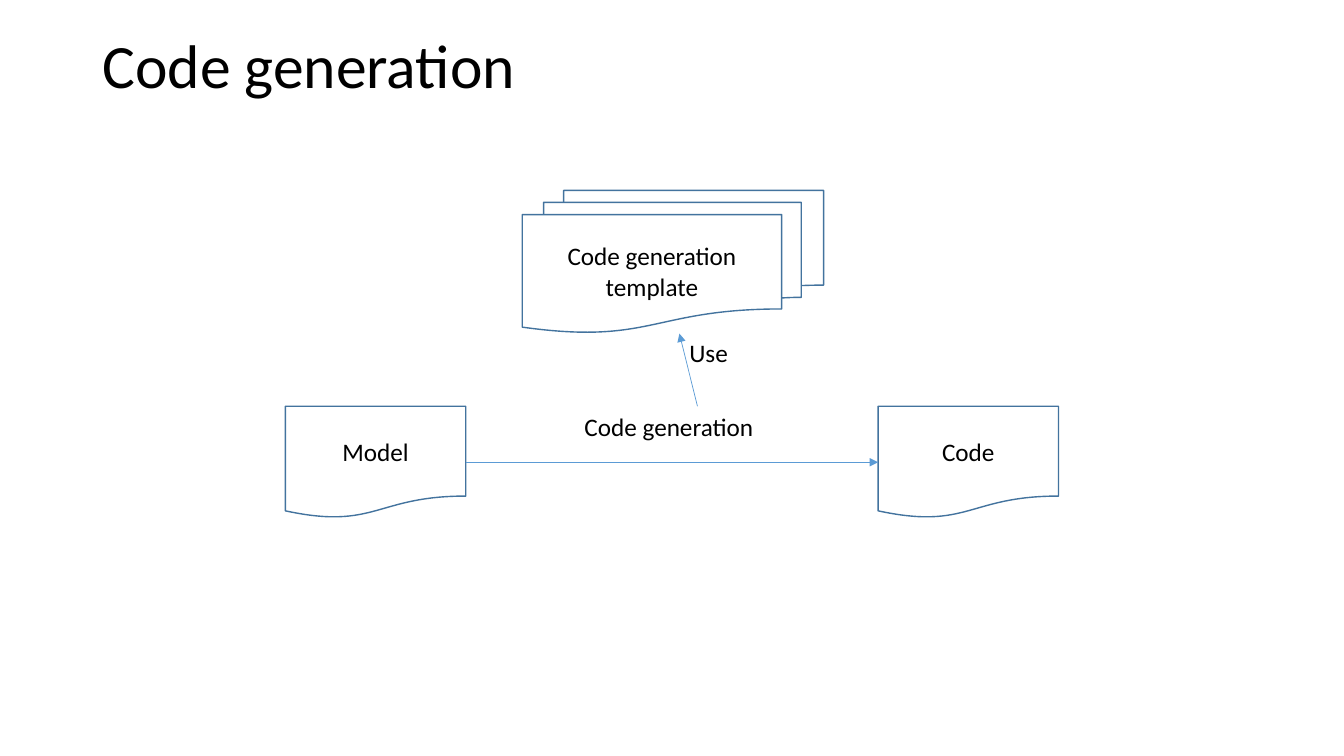
from lxml.etree import SubElement
from pptx import Presentation
from pptx.dml.color import RGBColor
from pptx.enum.shapes import MSO_CONNECTOR, MSO_SHAPE
from pptx.enum.text import MSO_ANCHOR, MSO_AUTO_SIZE, PP_ALIGN
from pptx.oxml.ns import qn
from pptx.util import Pt

COLORS = {"text": "000000", "outline": "43739E", "arrow": "5B9BD5"}
FONT = "Calibri"

TITLE = "Code generation"
TITLE_BOX = (66, 11.5, 828, 75)
ROW_TOP, DOC_WIDTH, DOC_HEIGHT = 290.2, 128.9, 80
DOCUMENTS = {  # text: (preset, left, top, width, height)
    "Model": (MSO_SHAPE.FLOWCHART_DOCUMENT, 203.8, ROW_TOP, DOC_WIDTH, DOC_HEIGHT),
    "Code": (MSO_SHAPE.FLOWCHART_DOCUMENT, 627.2, ROW_TOP, DOC_WIDTH, DOC_HEIGHT),
    "Code generation template": (MSO_SHAPE.FLOWCHART_MULTIDOCUMENT, 373, 136, 215.3, 101.5),
}
LABELS = {  # text: (left, top, width, height)
    "Code generation": (410.4, ROW_TOP, 176.4, 48.2),
    "Use": (485.3, 237.6, 54.7, 48.2),
}
USE_ARROW = (498.2, ROW_TOP, 485.3, 238.3)


def points(numbers):
    return [Pt(number) for number in numbers]


def color(name):
    return RGBColor.from_string(COLORS[name])


def write(frame, text, size, align):
    paragraph = frame.paragraphs[0]
    paragraph.alignment = align
    run = paragraph.add_run()
    run.text = text
    run.font.name = FONT
    run.font.size = Pt(size)
    run.font.color.rgb = color("text")
    return paragraph


def add_document(slide, text, preset, *box):
    document = slide.shapes.add_shape(preset, *points(box))
    document.shadow.inherit = False
    document.fill.background()
    document.line.color.rgb = color("outline")
    document.line.width = Pt(1)
    document.text_frame.word_wrap = True
    document.text_frame.vertical_anchor = MSO_ANCHOR.MIDDLE
    write(document.text_frame, text, 18, PP_ALIGN.CENTER)
    return document


def add_label(slide, text, box):
    frame = slide.shapes.add_textbox(*points(box)).text_frame
    frame.word_wrap = False
    frame.auto_size = MSO_AUTO_SIZE.SHAPE_TO_FIT_TEXT
    write(frame, text, 18, PP_ALIGN.LEFT)


def add_arrow(slide, ends):
    arrow = slide.shapes.add_connector(MSO_CONNECTOR.STRAIGHT, *points(ends))
    arrow.line.color.rgb = color("arrow")
    arrow.line.width = Pt(0.5)
    SubElement(arrow.line._get_or_add_ln(), qn("a:tailEnd"), type="triangle")
    SubElement(arrow._element.spPr, qn("a:effectLst"))
    return arrow


def main():
    deck = Presentation()
    deck.slide_width, deck.slide_height = Pt(960), Pt(540)
    slide = deck.slides.add_slide(deck.slide_layouts[5])

    title = slide.shapes.title
    title.left, title.top, title.width, title.height = points(TITLE_BOX)
    title.text_frame.vertical_anchor = MSO_ANCHOR.MIDDLE
    write(title.text_frame, TITLE, 44, PP_ALIGN.LEFT).line_spacing = 0.9

    documents = {text: add_document(slide, text, *place)
                 for text, place in DOCUMENTS.items()}
    for text, box in LABELS.items():
        add_label(slide, text, box)

    generation = add_arrow(slide, (0, 0, 0, 0))
    generation.begin_connect(documents["Model"], 3)
    generation.end_connect(documents["Code"], 1)
    add_arrow(slide, USE_ARROW)

    deck.save("out.pptx")


if __name__ == "__main__":
    main()
